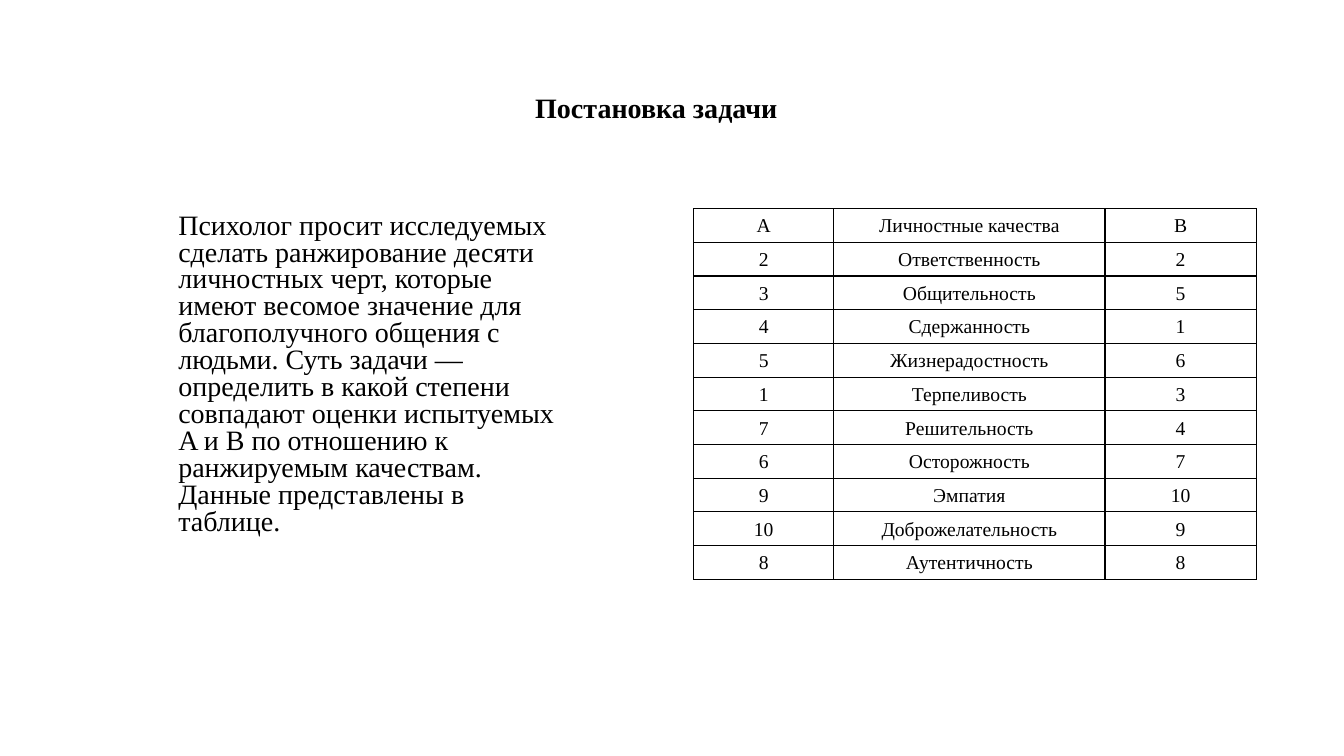
"""Build the task statement slide: a description beside a table of ranked traits."""
from lxml import etree
from pptx import Presentation
from pptx.dml.color import RGBColor
from pptx.enum import text as t
from pptx.oxml import ns
from pptx.util import Inches, Pt

FONT = "Times New Roman"
COLORS = {"ink": "000000", "paper": "FFFFFF"}
HEADING = "Постановка задачи"
TASK = (
    "Психолог просит исследуемых сделать ранжирование десяти личностных черт, "
    "которые имеют весомое значение для благополучного общения с людьми. "
    "Суть задачи — определить в какой степени совпадают оценки испытуемых A и B "
    "по отношению к ранжируемым качествам. Данные представлены в таблице."
)
RANKS = [
    ("A", "Личностные качества", "B"),
    (2, "Ответственность", 2),
    (3, "Общительность", 5),
    (4, "Сдержанность", 1),
    (5, "Жизнерадостность", 6),
    (1, "Терпеливость", 3),
    (7, "Решительность", 4),
    (6, "Осторожность", 7),
    (9, "Эмпатия", 10),
    (10, "Доброжелательность", 9),
    (8, "Аутентичность", 8),
]
COLUMN_WIDTHS = (1.39, 2.69, 1.5)
CONTENT_TOP, CONTENT_HEIGHT = 2.07, 3.68


def write(frame, words, size, align, spacing, bold=False):
    frame.text = str(words)
    paragraph = frame.paragraphs[0]
    paragraph.alignment = align
    paragraph.line_spacing = spacing
    paragraph.font.name = FONT
    paragraph.font.size = Pt(size)
    paragraph.font.bold = bold
    paragraph.font.color.rgb = RGBColor.from_string(COLORS["ink"])
    return paragraph


def add_text(slide, box, anchor, *style, **options):
    frame = slide.shapes.add_textbox(*map(Inches, box)).text_frame
    frame.word_wrap = True
    frame.vertical_anchor = anchor
    return write(frame, *style, **options)


def add_borders(cell):
    properties = cell._tc.get_or_add_tcPr()
    for position, side in enumerate(("lnL", "lnR", "lnT", "lnB")):
        line = etree.Element(ns.qn(f"a:{side}"), w=str(Pt(1)))
        fill = etree.SubElement(line, ns.qn("a:solidFill"))
        etree.SubElement(fill, ns.qn("a:srgbClr"), val=COLORS["ink"])
        properties.insert(position, line)


def add_ranks(slide):
    table = slide.shapes.add_table(
        len(RANKS), len(COLUMN_WIDTHS), Inches(6.88), Inches(CONTENT_TOP),
        Inches(sum(COLUMN_WIDTHS)), Inches(CONTENT_HEIGHT),
    ).table
    table.first_row = table.horz_banding = False
    for column, width in zip(table.columns, COLUMN_WIDTHS):
        column.width = Inches(width)
    for row, ranks in zip(table.rows, RANKS):
        row.height = Inches(CONTENT_HEIGHT / len(RANKS))
        for cell, value in zip(row.cells, ranks):
            cell.fill.solid()
            cell.fill.fore_color.rgb = RGBColor.from_string(COLORS["paper"])
            cell.margin_left = cell.margin_right = Inches(0.07)
            cell.margin_top = cell.margin_bottom = 0
            cell.vertical_anchor = t.MSO_ANCHOR.MIDDLE
            write(cell.text_frame, value, 14, t.PP_ALIGN.CENTER, 1.07)
            add_borders(cell)


deck = Presentation()
deck.slide_width, deck.slide_height = Inches(13.33), Inches(7.5)
slide = deck.slides.add_slide(deck.slide_layouts[6])
add_text(slide, (1.51, 0.64, 10, 0.64), t.MSO_ANCHOR.BOTTOM,
         HEADING, 20, t.PP_ALIGN.CENTER, 0.9, bold=True)
task = add_text(slide, (1.67, CONTENT_TOP, 4.1, CONTENT_HEIGHT), t.MSO_ANCHOR.TOP,
                TASK, 20, t.PP_ALIGN.LEFT, 0.8)
task.space_before = Pt(10)
add_ranks(slide)
deck.save("out.pptx")
